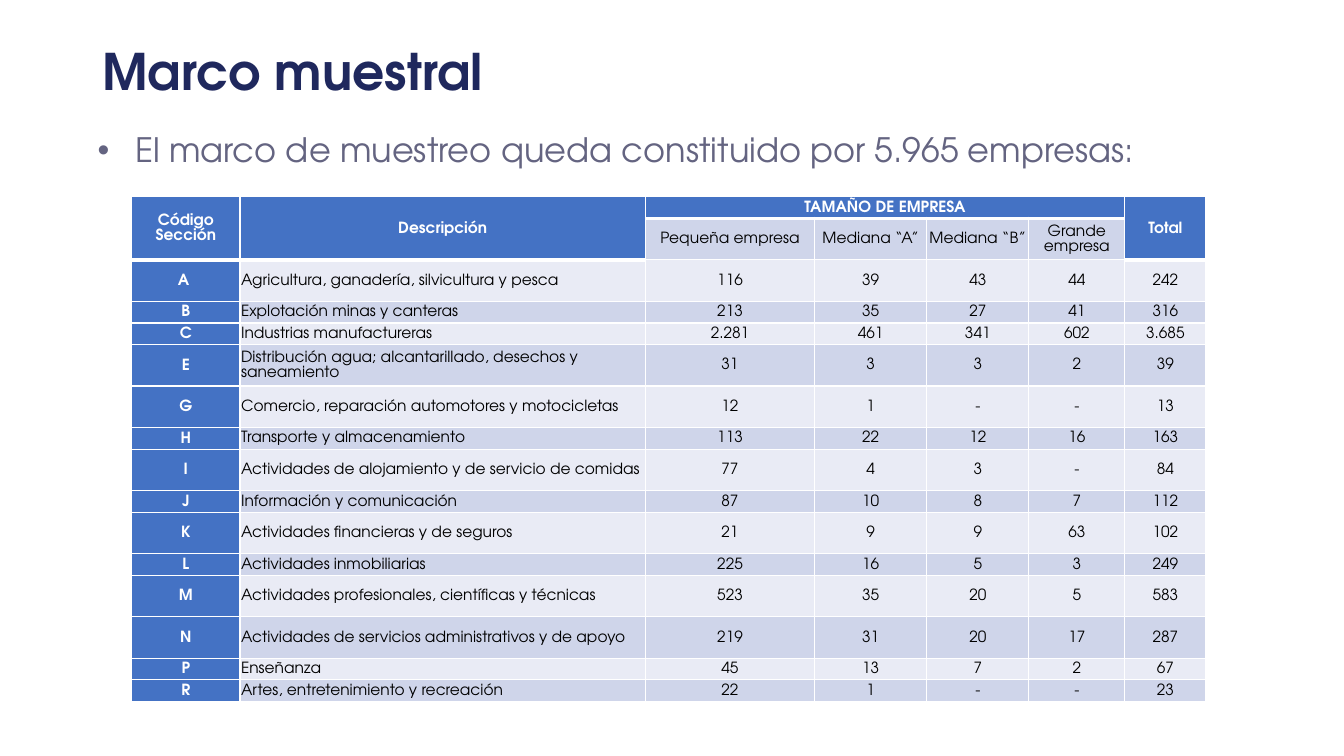
"""Build the sampling frame slide with its table of companies by sector and size."""
from lxml import etree
from pptx import Presentation
from pptx.dml.color import RGBColor
from pptx.enum.text import MSO_ANCHOR, MSO_AUTO_SIZE, PP_ALIGN
from pptx.oxml.ns import qn
from pptx.util import Pt

LEFT, CENTER, JUSTIFY = PP_ALIGN.LEFT, PP_ALIGN.CENTER, PP_ALIGN.JUSTIFY
MIDDLE, TOP = MSO_ANCHOR.MIDDLE, MSO_ANCHOR.TOP
FIXED = MSO_AUTO_SIZE.NONE

FONT = "TeX Gyre Adventor"
NAVY = RGBColor(0x1F, 0x28, 0x5D)
SLATE = RGBColor(0x64, 0x64, 0x81)
BLUE = RGBColor(0x44, 0x72, 0xC4)
DARK = RGBColor(0xCF, 0xD5, 0xEA)
PALE = RGBColor(0xE9, 0xEB, 0xF5)
WHITE = RGBColor(0xFF, 0xFF, 0xFF)
BLACK = RGBColor(0x00, 0x00, 0x00)

TITLE = "Marco muestral"
INTRO = "El marco de muestreo queda constituido por 5.965 empresas:"
ROWS = [
    ("Código Sección", "Descripción", "TAMAÑO DE EMPRESA", "", "", "", "Total"),
    ("", "", "Pequeña empresa", "Mediana “A”", "Mediana “B”", "Grande empresa", ""),
    ("A ", "Agricultura, ganadería, silvicultura y pesca", "116", "39", "43", "44", "242"),
    ("B", "Explotación minas y canteras", "213", "35", "27", "41", "316"),
    ("C", "Industrias manufactureras", "2.281", "461", "341", "602", "3.685"),
    ("E", "Distribución agua; alcantarillado, desechos y saneamiento", "31", "3", "3", "2", "39"),
    ("G", "Comercio, reparación automotores y motocicletas", "12", "1", "-", "-", "13"),
    ("H", "Transporte y almacenamiento", "113", "22", "12", "16", "163"),
    ("I", "Actividades de alojamiento y de servicio de comidas", "77", "4", "3", "-", "84"),
    ("J", "Información y comunicación", "87", "10", "8", "7", "112"),
    ("K", "Actividades financieras y de seguros", "21", "9", "9", "63", "102"),
    ("L", "Actividades inmobiliarias", "225", "16", "5", "3", "249"),
    ("M", "Actividades profesionales, científicas y técnicas", "523", "35", "20", "5", "583"),
    ("N", "Actividades de servicios administrativos y de apoyo", "219", "31", "20", "17", "287"),
    ("P", "Enseñanza", "45", "13", "7", "2", "67"),
    ("R", "Artes, entretenimiento y recreación", "22", "1", "-", "-", "23"),
]
MERGES = [((0, 0), (1, 0)), ((0, 1), (1, 1)), ((0, 2), (0, 5)), ((0, 6), (1, 6))]
WIDTHS = [77.5, 289.5, 121, 80, 73, 68.5, 58]
TALL = {1, 2, 5, 6, 8, 10, 12, 13}
HIGH, LOW = 29.6, 15.5


def write(frame, text, size=11, color=BLACK, bold=False, align=CENTER, space=None, before=0):
    """Put one formatted paragraph in a text frame and return it."""
    para = frame.paragraphs[0]
    para.alignment = align
    para.space_before = Pt(before)
    if space:
        para.line_spacing = space
    run = para.add_run()
    run.text = text
    font = run.font
    font.name, font.size, font.bold = FONT, Pt(size), bold
    font.color.rgb = color
    return para


def place(shape, left, top, width, height, anchor):
    """Move a placeholder and return its text frame."""
    shape.left, shape.top = Pt(left), Pt(top)
    shape.width, shape.height = Pt(width), Pt(height)
    frame = shape.text_frame
    frame.word_wrap, frame.auto_size = True, FIXED
    frame.vertical_anchor = anchor
    return frame


def edge(cell, base):
    """Draw white borders round a cell, with its own width at the base."""
    props = cell._tc.get_or_add_tcPr()
    for side, width in zip("LRTB", (1, 1, 1, base)):
        line = etree.SubElement(props, qn(f"a:ln{side}"), w=str(Pt(width)))
        fill = etree.SubElement(line, qn("a:solidFill"))
        etree.SubElement(fill, qn("a:srgbClr"), val=str(WHITE))


def main():
    """Lay out the title, the bullet and the table."""
    deck = Presentation()
    deck.slide_width, deck.slide_height = Pt(960), Pt(540)
    slide = deck.slides.add_slide(deck.slide_layouts[1])

    head, body = slide.placeholders
    write(place(head, 66, 26.5, 609, 53.5, MIDDLE), TITLE,
          size=36, color=NAVY, bold=True, align=LEFT, space=0.9)
    para = write(place(body, 62.5, 92, 770.5, 67, TOP), INTRO,
                 size=24, color=SLATE, align=JUSTIFY, space=0.9, before=10)
    props = para._p.get_or_add_pPr()
    props.set("marL", str(Pt(27)))
    props.set("indent", str(Pt(-27)))

    heights = [HIGH if r in TALL else LOW for r in range(len(ROWS))]
    table = slide.shapes.add_table(
        len(ROWS), len(WIDTHS), Pt(94), Pt(140.5), Pt(sum(WIDTHS)), Pt(sum(heights))
    ).table
    table.first_row = table.horz_banding = False
    for col, width in zip(table.columns, WIDTHS):
        col.width = Pt(width)
    for row, height in zip(table.rows, heights):
        row.height = Pt(height)

    for r, texts in enumerate(ROWS):
        for c, text in enumerate(texts):
            cell = table.cell(r, c)
            top = r == 0 or (r == 1 and c in (0, 1, 6))
            strong = top or c == 0
            edge(cell, 3 if top else 1)
            cell.fill.solid()
            cell.fill.fore_color.rgb = BLUE if strong else DARK if r % 2 else PALE
            cell.margin_left = cell.margin_right = cell.margin_top = Pt(0.7)
            cell.margin_bottom = Pt(0)
            cell.vertical_anchor = MIDDLE
            write(cell.text_frame, text, color=WHITE if strong else BLACK,
                  bold=strong, align=LEFT if c == 1 and r > 1 else CENTER)
    for start, end in MERGES:
        table.cell(*start).merge(table.cell(*end))

    deck.save("out.pptx")


if __name__ == "__main__":
    main()
